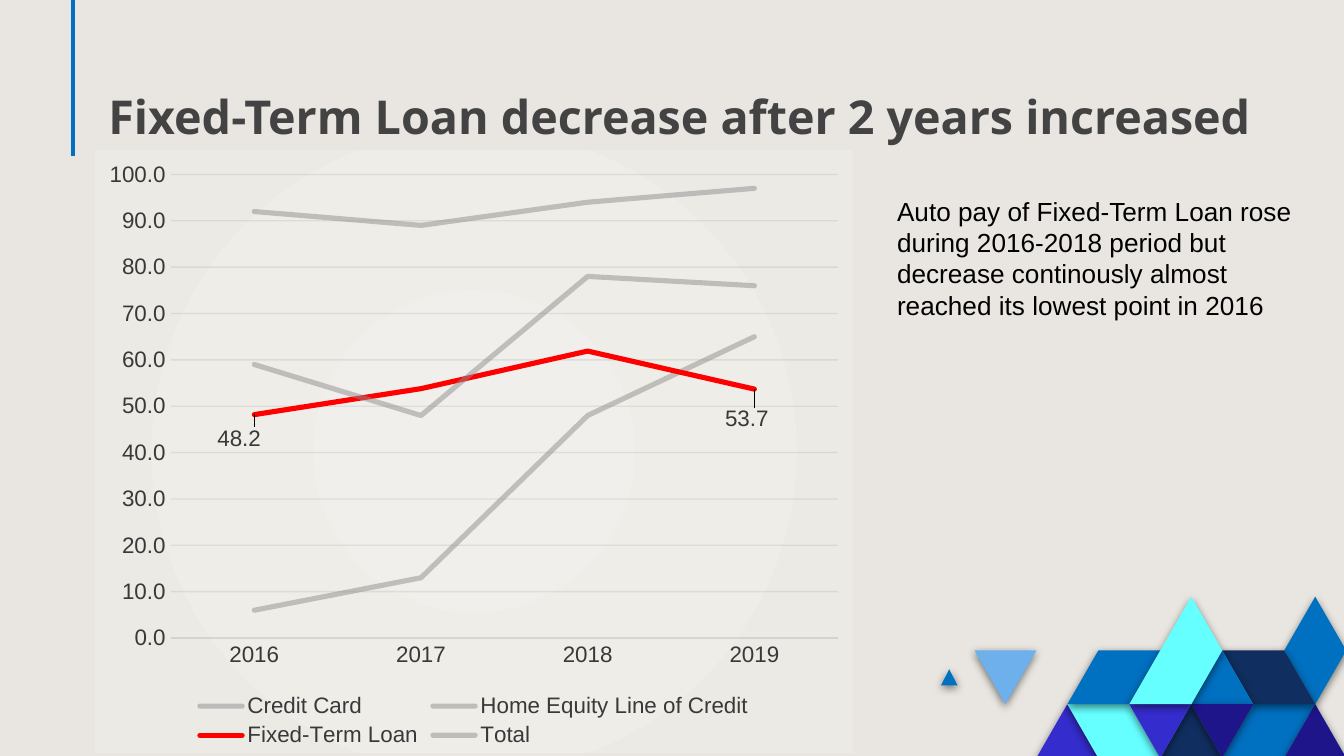
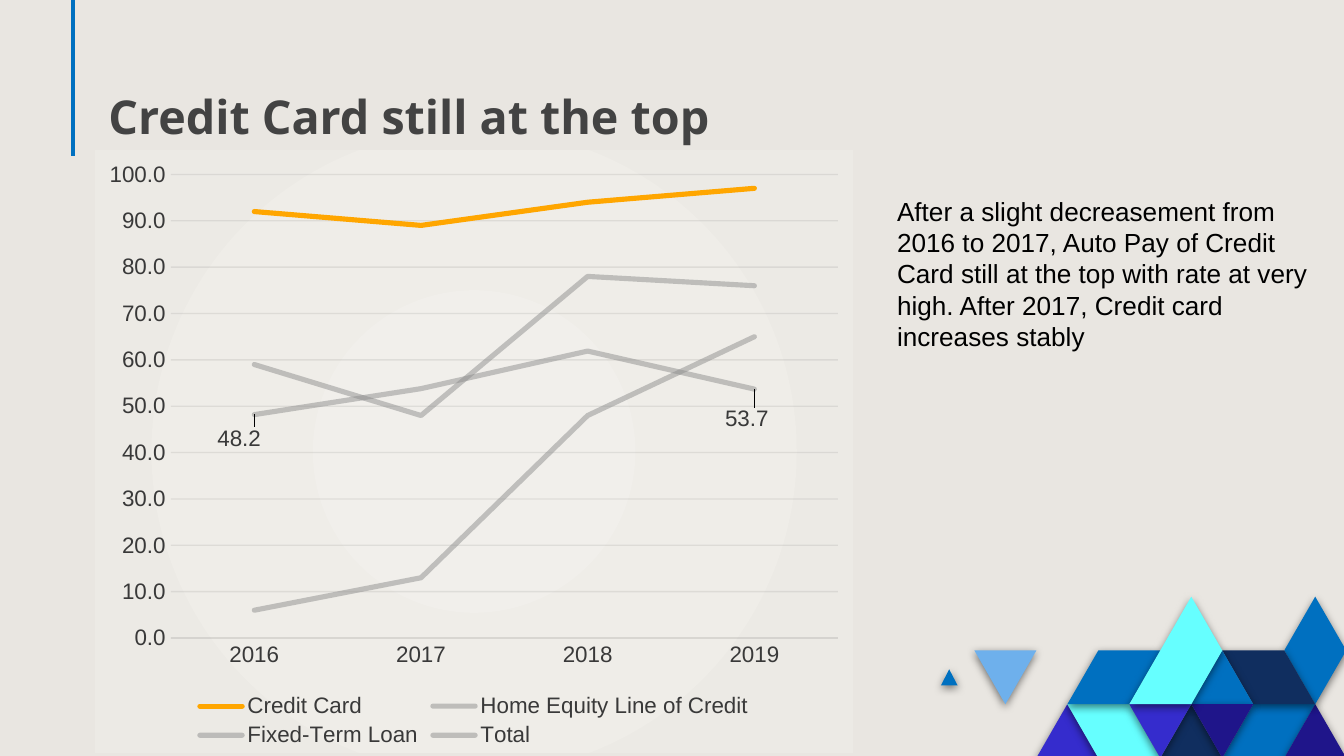
"""Build two slides on auto pay rates, each with one line of the chart brought forward."""
from dataclasses import dataclass

from lxml import etree
from pptx import Presentation
from pptx.chart.data import CategoryChartData
from pptx.dml.color import RGBColor
from pptx.enum.chart import XL_CHART_TYPE, XL_LABEL_POSITION, XL_LEGEND_POSITION, XL_TICK_MARK
from pptx.enum.shapes import MSO_CONNECTOR
from pptx.enum.text import MSO_ANCHOR, MSO_AUTO_SIZE
from pptx.oxml import parse_xml
from pptx.oxml.ns import nsdecls, qn
from pptx.util import Pt

LINE, BOTTOM = XL_CHART_TYPE.LINE, XL_LEGEND_POSITION.BOTTOM
CENTER, NO_TICK = XL_LABEL_POSITION.CENTER, XL_TICK_MARK.NONE
STRAIGHT = MSO_CONNECTOR.STRAIGHT
TOP, LOW = MSO_ANCHOR.TOP, MSO_ANCHOR.BOTTOM
FIXED, GROW = MSO_AUTO_SIZE.NONE, MSO_AUTO_SIZE.SHAPE_TO_FIT_TEXT


@dataclass(frozen=True)
class Theme:
    """Colours, fonts and type sizes."""
    back: str = "E9E6E1"
    title: str = "434343"
    body: str = "000000"
    label: str = "393939"
    grid: str = "404040"
    dim: str = "8E8E8E"
    red: str = "FF0000"
    gold: str = "FFA600"
    blue: str = "0070C0"
    sky: str = "6EB0EC"
    cyan: str = "66FFFF"
    navy: str = "102E5F"
    violet: str = "352CCD"
    indigo: str = "1F158A"
    inner: str = "F1EFEB"
    outer: str = "ECEAE5"
    head: str = "Noto Sans"
    text: str = "Arial"
    big: int = 25
    mid: int = 14
    small: int = 12


T = Theme()

SLIDES = [
    ("Fixed-Term Loan decrease after 2 years increased",
     "Auto pay of Fixed-Term Loan rose during 2016-2018 period but decrease "
     "continously almost reached its lowest point in 2016",
     "Fixed-Term Loan", T.red),
    ("Credit Card still at the top",
     "After a slight decreasement from 2016 to 2017, Auto Pay of Credit Card still "
     "at the top with rate at very high. After 2017, Credit card increases stably",
     "Credit Card", T.gold),
]
YEARS = ["2016", "2017", "2018", "2019"]
RATES = {
    "Credit Card": (92, 89, 94, 97),
    "Home Equity Line of Credit": (6, 13, 48, 65),
    "Fixed-Term Loan": (48.2, 53.8, 61.9, 53.7),
    "Total": (59, 48, 78, 76),
}
NOTED = "Fixed-Term Loan"
NOTES = {0: (-0.02, 0.04), 3: (-0.01, 0.05)}
PLOT = {"x": 0.1, "y": 0.04, "w": 0.88, "h": 0.77}

TILES = [
    (T.violet, [(2, 3), (3, 2), (4, 3)]),
    (T.cyan, [(3, 2), (5, 2), (6, 3), (4, 3)]),
    (T.blue, [(8, 3), (9, 2), (11, 2), (10, 3)]),
    (T.indigo, [(10, 3), (11, 2), (12, 3)]),
    (T.navy, [(6, 3), (7, 2), (8, 3)]),
    (T.blue, [(3, 2), (4, 1), (6, 1), (5, 2)]),
    (T.blue, [(-1.08, 1.65), (-0.81, 1.35), (-0.54, 1.65)]),
    (T.sky, [(0, 1), (2, 1), (1, 2)]),
    (T.blue, [(10, 1), (11, 0), (12, 1), (11, 2)]),
    (T.navy, [(8, 1), (10, 1), (11, 2), (9, 2)]),
    (T.blue, [(7, 2), (8, 1), (9, 2)]),
    (T.indigo, [(7, 2), (9, 2), (8, 3)]),
    (T.violet, [(5, 2), (7, 2), (6, 3)]),
    (T.cyan, [(5, 2), (7, 0), (8, 1), (7, 2)]),
]
LEFT, HIGH, STEP, ROW = 522, 319.7, 16.6, 28.8

SHADE = (f'<a:outerShdw {nsdecls("a")} blurRad="57150" dist="19050" dir="5400000" '
         'algn="bl" rotWithShape="0"><a:srgbClr val="000000"><a:alpha val="50000"/>'
         '</a:srgbClr></a:outerShdw>')
GLOW = (f'<c:spPr {nsdecls("c", "a")}><a:gradFill><a:gsLst>'
        f'<a:gs pos="0"><a:srgbClr val="{T.inner}"/></a:gs>'
        f'<a:gs pos="100000"><a:srgbClr val="{T.outer}"/></a:gs></a:gsLst>'
        '<a:path path="circle"><a:fillToRect l="50000" t="50000" r="50000" b="50000"/>'
        '</a:path></a:gradFill><a:ln><a:noFill/></a:ln></c:spPr>')


def rgb(code):
    """Turn a hex code into a colour."""
    return RGBColor.from_string(code)


def style(font, name, size, color, bold=False):
    """Set the look of a font."""
    font.name, font.size, font.bold = name, Pt(size), bold
    font.color.rgb = rgb(color)


def stroke(line, color, width):
    """Set the colour and width of a line."""
    line.color.rgb = rgb(color)
    line.width = Pt(width)


def write(slide, box, text, look, inset, anchor, fit):
    """Add a text box holding one run."""
    frame = slide.shapes.add_textbox(*map(Pt, box)).text_frame
    frame.word_wrap, frame.auto_size = True, fit
    frame.vertical_anchor = anchor
    frame.margin_left = frame.margin_right = Pt(7.2)
    frame.margin_top = frame.margin_bottom = Pt(inset)
    run = frame.paragraphs[0].add_run()
    run.text = text
    style(run.font, *look)


def adorn(slide):
    """Draw the side rule and the corner tiles."""
    rule = slide.shapes.add_connector(STRAIGHT, Pt(38.9), Pt(0), Pt(38.9), Pt(83.5))
    stroke(rule.line, T.blue, 2.25)
    etree.SubElement(rule.element.spPr, qn("a:effectLst"))
    for color, cells in TILES:
        first, *rest = [(Pt(LEFT + STEP * x), Pt(HIGH + ROW * y)) for x, y in cells]
        pen = slide.shapes.build_freeform(*first)
        pen.add_line_segments(rest, close=True)
        tile = pen.convert_to_shape()
        tile.fill.solid()
        tile.fill.fore_color.rgb = rgb(color)
        tile.line.fill.background()
        tile.shadow.inherit = False
        tile.element.spPr.find(qn("a:effectLst")).append(parse_xml(SHADE))


def place(spots, edges=""):
    """Make a manual chart layout."""
    parts = "".join(f'<c:{key} val="{val}"/>' for key, val in spots.items())
    return parse_xml(f'<c:layout {nsdecls("c")}><c:manualLayout>{edges}{parts}'
                     '</c:manualLayout></c:layout>')


def finish(chart):
    """Add the backdrop, plot layout, round caps and transparency."""
    root = chart.element
    root.find(qn("c:chart")).addnext(parse_xml(GLOW))
    area = root.xpath(".//c:plotArea")[0]
    for old in area.findall(qn("c:layout")):
        area.remove(old)
    area.insert(0, place(PLOT, '<c:layoutTarget val="inner"/><c:xMode val="edge"/>'
                               '<c:yMode val="edge"/>'))
    for line in root.xpath(".//c:ser/c:spPr/a:ln"):
        line.set("cap", "rnd")
    for color, alpha in ((T.dim, 50000), (T.grid, 10000)):
        for node in root.xpath(f'.//a:ln//a:srgbClr[@val="{color}"]'):
            etree.SubElement(node, qn("a:alpha")).set("val", str(alpha))


def plot(slide, focus, accent):
    """Add the line chart with one series in the accent colour."""
    data = CategoryChartData()
    data.categories = YEARS
    for name, rates in RATES.items():
        data.add_series(name, rates)
    box = map(Pt, (51, 80.6, 406, 322.6))
    chart = slide.shapes.add_chart(LINE, *box, data).chart
    chart.has_title = False
    style(chart.font, T.text, T.small, T.label)
    chart.has_legend = True
    chart.legend.position = BOTTOM
    chart.legend.include_in_layout = False
    style(chart.legend.font, T.text, T.small, T.label)

    years, scale = chart.category_axis, chart.value_axis
    for axis in (years, scale):
        axis.major_tick_mark = axis.minor_tick_mark = NO_TICK
        style(axis.tick_labels.font, T.text, T.small, T.label)
    stroke(years.format.line, T.grid, 0.75)
    scale.minimum_scale, scale.maximum_scale, scale.major_unit = 0, 100, 10
    scale.format.line.fill.background()
    stroke(scale.major_gridlines.format.line, T.grid, 0.75)
    scale.tick_labels.number_format = "0.0"
    scale.tick_labels.number_format_is_linked = False

    for series in chart.plots[0].series:
        series.smooth = False
        stroke(series.format.line, accent if series.name == focus else T.dim, 2.75)
        if series.name == NOTED:
            series.data_labels.show_value = False
            for spot in NOTES:
                label = series.points[spot].data_label
                style(label.font, T.text, T.small, T.label)
                label.position = CENTER
    for mark, (x, y) in zip(chart.element.xpath(".//c:dLbl"), NOTES.values()):
        mark.find(qn("c:idx")).addnext(place({"x": x, "y": y}))
    finish(chart)


def main():
    """Build and save the deck."""
    deck = Presentation()
    deck.slide_width, deck.slide_height = Pt(720), Pt(405)
    ground = deck.slide_master.background.fill
    ground.solid()
    ground.fore_color.rgb = rgb(T.back)
    for title, body, focus, accent in SLIDES:
        slide = deck.slides.add_slide(deck.slide_layouts[6])
        adorn(slide)
        write(slide, (51, 39, 637, 45), title, (T.head, T.big, T.title, True), 7.2, LOW, FIXED)
        plot(slide, focus, accent)
        write(slide, (473.5, 101, 240.5, 92), body, (T.text, T.mid, T.body), 3.6, TOP, GROW)
    deck.save("out.pptx")


main()
